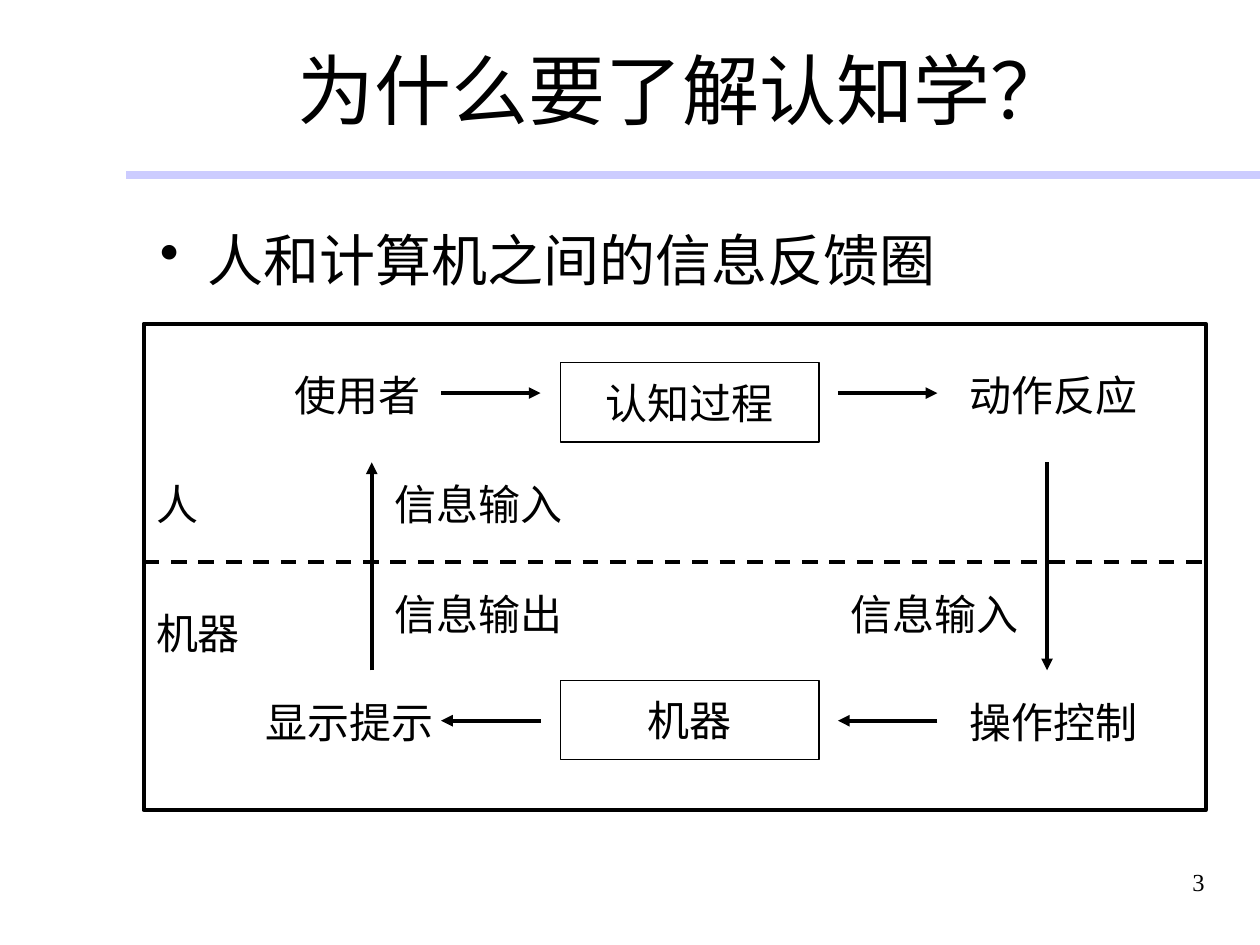
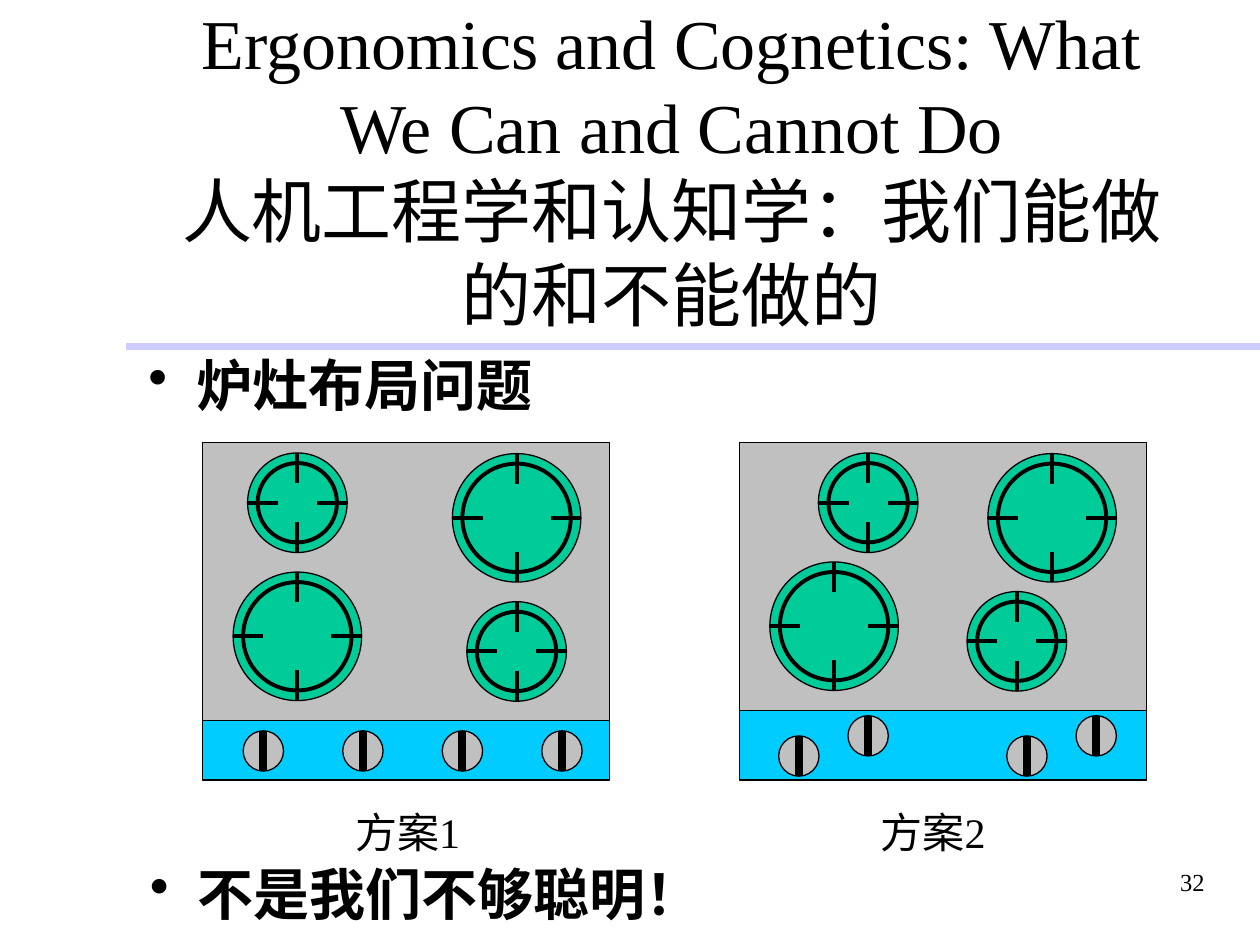
from dataclasses import dataclass

from lxml import etree
from pptx import Presentation
from pptx.dml.color import RGBColor
from pptx.enum import dml, shapes, text
from pptx.oxml import ns
from pptx.util import Inches, Pt


@dataclass(frozen=True)
class Theme:
    font: str = "Times New Roman"
    ink: str = "000000"
    band: str = "CCCCFF"
    metal: str = "C0C0C0"
    burner: str = "00CC99"
    panel: str = "00CCFF"
    title: int = 44
    long_title: int = 40
    bullet: int = 32
    label: int = 24
    number: int = 14
    thin: float = 0.75
    medium: float = 2.25
    thick: float = 4.5


THEME = Theme()
ALIGN = text.PP_ALIGN
RECT = shapes.MSO_SHAPE.RECTANGLE
OVAL = shapes.MSO_SHAPE.OVAL

# Stove measures, in inches
STOVE_WIDTH, STOVE_HEIGHT, STOVE_TOP = 3.23, 2.68, 3.51
SMALL, LARGE, KNOB = 0.79, 1.02, 0.32
RING_INSET, TICK = 0.08, 0.24


# Basic elements
def add_xml(parent, tag, **attributes):
    return etree.SubElement(parent, ns.qn(tag), attributes)


def write(frame, lines, size, align=ALIGN.LEFT, bold=False):
    paragraph = frame.paragraphs[0]
    paragraph.alignment = align
    for index, line in enumerate(lines.split("\n")):
        if index:
            paragraph.add_line_break()
        run = paragraph.add_run()
        run.text = line
        run.font.name = THEME.font
        run.font.size = Pt(size)
        run.font.bold = bold
        run.font.color.rgb = RGBColor.from_string(THEME.ink)
    return paragraph


def add_text(canvas, words, left, top, width, height, size,
             align=ALIGN.LEFT, anchor=text.MSO_ANCHOR.TOP, bold=False):
    box = canvas.add_textbox(Inches(left), Inches(top), Inches(width), Inches(height))
    box.text_frame.word_wrap = True
    box.text_frame.vertical_anchor = anchor
    return write(box.text_frame, words, size, align, bold)


def add_label(canvas, words, left, top, width=1.8):
    add_text(canvas, words, left, top, width, 0.5, THEME.label)


def add_bullet(canvas, words, left, top, width, bold=False):
    paragraph = add_text(canvas, words, left, top, width, 0.68, THEME.bullet, bold=bold)
    properties = paragraph._p.get_or_add_pPr()
    properties.set("marL", str(Inches(0.38)))
    properties.set("indent", str(-Inches(0.38)))
    add_xml(add_xml(properties, "a:buClr"), "a:srgbClr", val=THEME.ink)
    add_xml(properties, "a:buChar", char="•")


def add_figure(canvas, preset, left, top, width, height, fill=None, weight=THEME.thin):
    figure = canvas.add_shape(preset, Inches(left), Inches(top), Inches(width), Inches(height))
    figure.shadow.inherit = False
    if fill:
        figure.fill.solid()
        figure.fill.fore_color.rgb = RGBColor.from_string(fill)
    else:
        figure.fill.background()
    figure.line.color.rgb = RGBColor.from_string(THEME.ink)
    figure.line.width = Pt(weight)
    return figure


def add_circle(canvas, x, y, diameter, fill=None, weight=THEME.thin):
    add_figure(canvas, OVAL, x - diameter / 2, y - diameter / 2,
               diameter, diameter, fill, weight)


def add_line(canvas, start, end, weight=THEME.medium, color=THEME.ink):
    line = canvas.add_connector(shapes.MSO_CONNECTOR.STRAIGHT,
                                *(Inches(value) for value in (*start, *end)))
    line.line.color.rgb = RGBColor.from_string(color)
    line.line.width = Pt(weight)
    add_xml(line._element.spPr, "a:effectLst")
    return line


def add_arrow(canvas, start, end):
    arrow = add_line(canvas, start, end)
    add_xml(arrow.line._get_or_add_ln(), "a:tailEnd", type="triangle")


# What every slide shares
def start_slide(deck, number, title, left, height, size, band_y):
    canvas = deck.slides.add_slide(deck.slide_layouts[6]).shapes
    add_text(canvas, number, 7.58, 6.83, 2.08, 0.5, THEME.number, ALIGN.RIGHT)
    add_text(canvas, title, left, 0.08, 8.5, height, size,
             ALIGN.CENTER, text.MSO_ANCHOR.MIDDLE)
    add_line(canvas, (1, band_y), (10, band_y), THEME.thick, THEME.band)
    return canvas


# Feedback loop
def add_process(canvas, words, top):
    process = add_figure(canvas, RECT, 4.45, top, 2.05, 0.63)
    process.text_frame.word_wrap = False
    process.text_frame.vertical_anchor = text.MSO_ANCHOR.MIDDLE
    write(process.text_frame, words, THEME.label, ALIGN.CENTER)


def build_feedback_slide(deck):
    canvas = start_slide(deck, "3", "为什么要了解认知学？", 1.17, 1.25, THEME.title, 1.39)
    add_bullet(canvas, "人和计算机之间的信息反馈圈", 1.17, 1.74, 8.5)

    add_process(canvas, "认知过程", 2.88)
    add_process(canvas, "机器", 5.4)
    for words, left, top in (
        ("使用者", 2.24, 2.88), ("动作反应", 7.6, 2.88),
        ("人", 1.14, 3.75), ("信息输入", 3.03, 3.75),
        ("信息输出", 3.03, 4.62), ("信息输入", 6.65, 4.62),
        ("机器", 1.14, 4.77),
        ("显示提示", 2.01, 5.48), ("操作控制", 7.6, 5.48),
    ):
        add_label(canvas, words, left, top)

    # Arrows run clockwise around the loop
    human_y, machine_y = 3.12, 5.72
    for near, far in ((3.5, 4.29), (6.65, 7.44)):
        add_arrow(canvas, (near, human_y), (far, human_y))
        add_arrow(canvas, (far, machine_y), (near, machine_y))
    add_arrow(canvas, (2.95, 5.32), (2.95, 3.67))
    add_arrow(canvas, (8.31, 3.67), (8.31, 5.32))

    # Frame and the border between human and machine
    add_figure(canvas, RECT, 1.14, 2.57, 8.43, 3.86, weight=THEME.medium)
    border = add_line(canvas, (1.14, 4.46), (9.57, 4.46))
    border.line.dash_style = dml.MSO_LINE.DASH


# Stoves
def add_burner(canvas, x, y, diameter):
    add_circle(canvas, x, y, diameter, THEME.burner)
    add_circle(canvas, x, y, diameter - 2 * RING_INSET, weight=THEME.medium)
    outer = diameter / 2
    inner = outer - TICK
    for dx, dy in ((0, -1), (0, 1), (-1, 0), (1, 0)):
        add_line(canvas, (x + dx * inner, y + dy * inner),
                 (x + dx * outer, y + dy * outer))


def add_knob(canvas, x, y):
    add_circle(canvas, x, y, KNOB, THEME.metal)
    add_line(canvas, (x, y - KNOB / 2), (x, y + KNOB / 2), THEME.thick)


def add_stove(slide_canvas, left, panel_offset, burners, knobs, caption, caption_left):
    """Burner and knob centres are measured from the stove's top left corner."""
    canvas = slide_canvas.add_group_shape().shapes
    add_figure(canvas, RECT, left, STOVE_TOP, STOVE_WIDTH, panel_offset, THEME.metal)
    add_figure(canvas, RECT, left, STOVE_TOP + panel_offset, STOVE_WIDTH,
               STOVE_HEIGHT - panel_offset, THEME.panel)
    for x, y, diameter in burners:
        add_burner(canvas, left + x, STOVE_TOP + y, diameter)
    for x, y in knobs:
        add_knob(canvas, left + x, STOVE_TOP + y)
    add_label(canvas, caption, caption_left, 6.35, 1.18)


def build_stove_slide(deck):
    title = ("Ergonomics and Cognetics: What We Can and Cannot Do\n"
             "人机工程学和认知学：我们能做的和不能做的")
    canvas = start_slide(deck, "32", title, 1.08, 2.5, THEME.long_title, 2.75)
    add_bullet(canvas, "炉灶布局问题", 1.08, 2.73, 8.92, bold=True)

    # Knobs in one even row
    add_stove(canvas, 1.61, 2.21,
              [(0.75, 0.48, SMALL), (2.49, 0.6, LARGE),
               (0.75, 1.54, LARGE), (2.49, 1.66, SMALL)],
              [(0.48 + 0.79 * place, 2.45) for place in range(4)],
              "方案1", 2.72)
    # Knobs placed like the burners
    add_stove(canvas, 5.87, 2.13,
              [(1.02, 0.48, SMALL), (2.48, 0.6, LARGE),
               (0.75, 1.46, LARGE), (2.2, 1.58, SMALL)],
              [(0.47, 2.49), (1.02, 2.33), (2.28, 2.49), (2.83, 2.33)],
              "方案2", 6.89)

    add_bullet(canvas, "不是我们不够聪明！", 1.09, 6.77, 8.92, bold=True)


def main():
    deck = Presentation()
    deck.slide_width = Inches(10)
    deck.slide_height = Inches(7.5)
    build_feedback_slide(deck)
    build_stove_slide(deck)
    deck.save("out.pptx")


if __name__ == "__main__":
    main()
